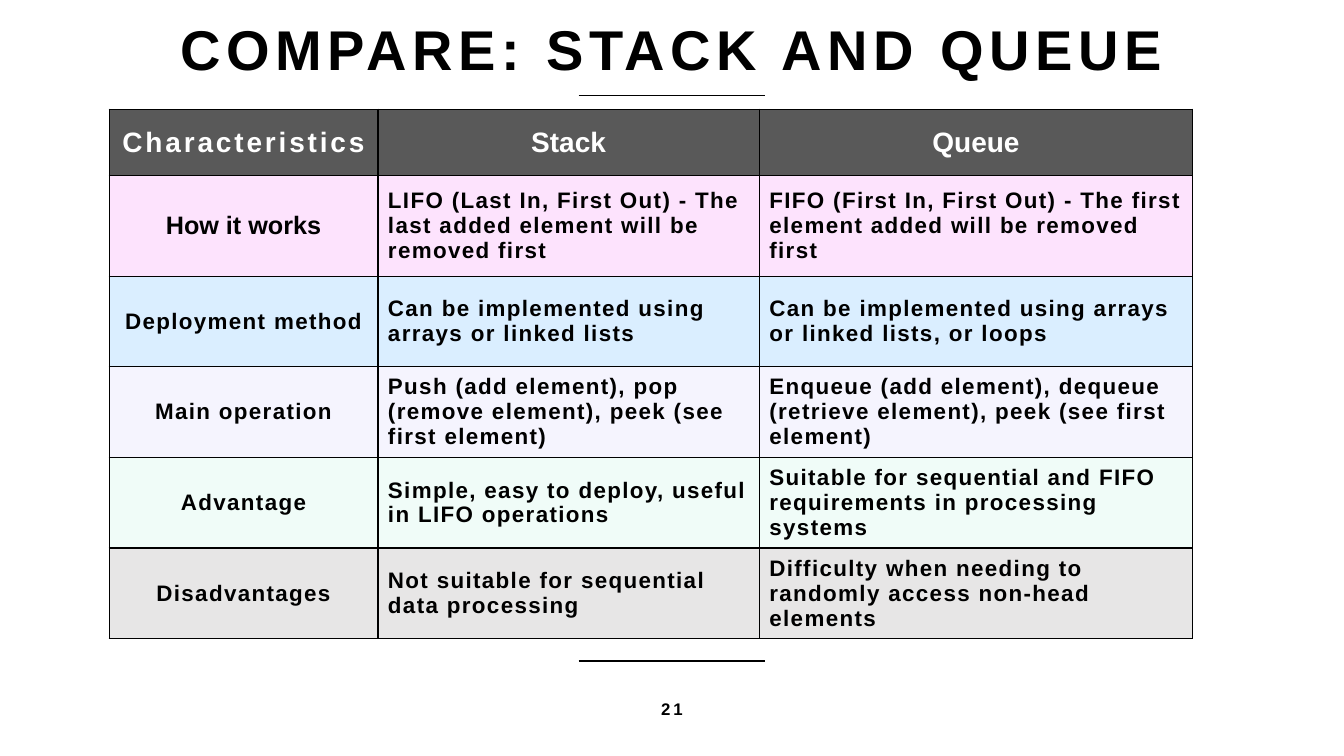
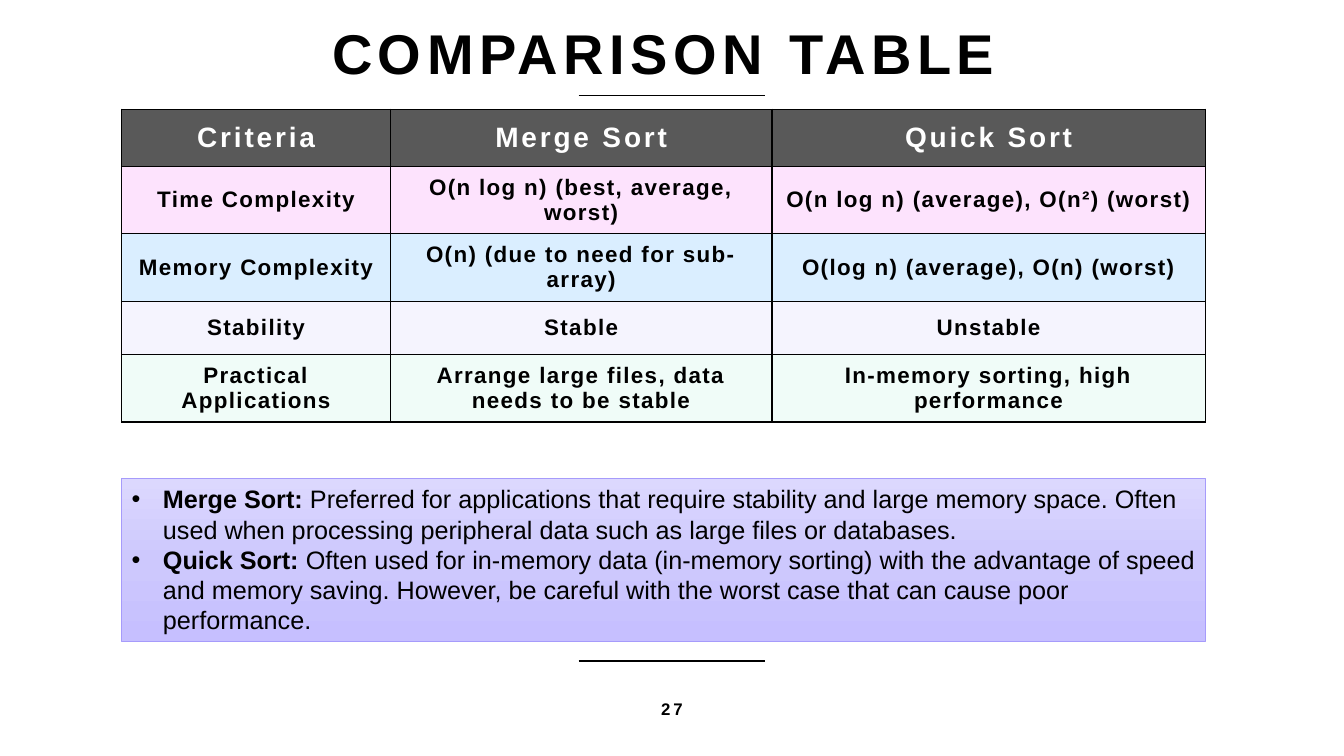
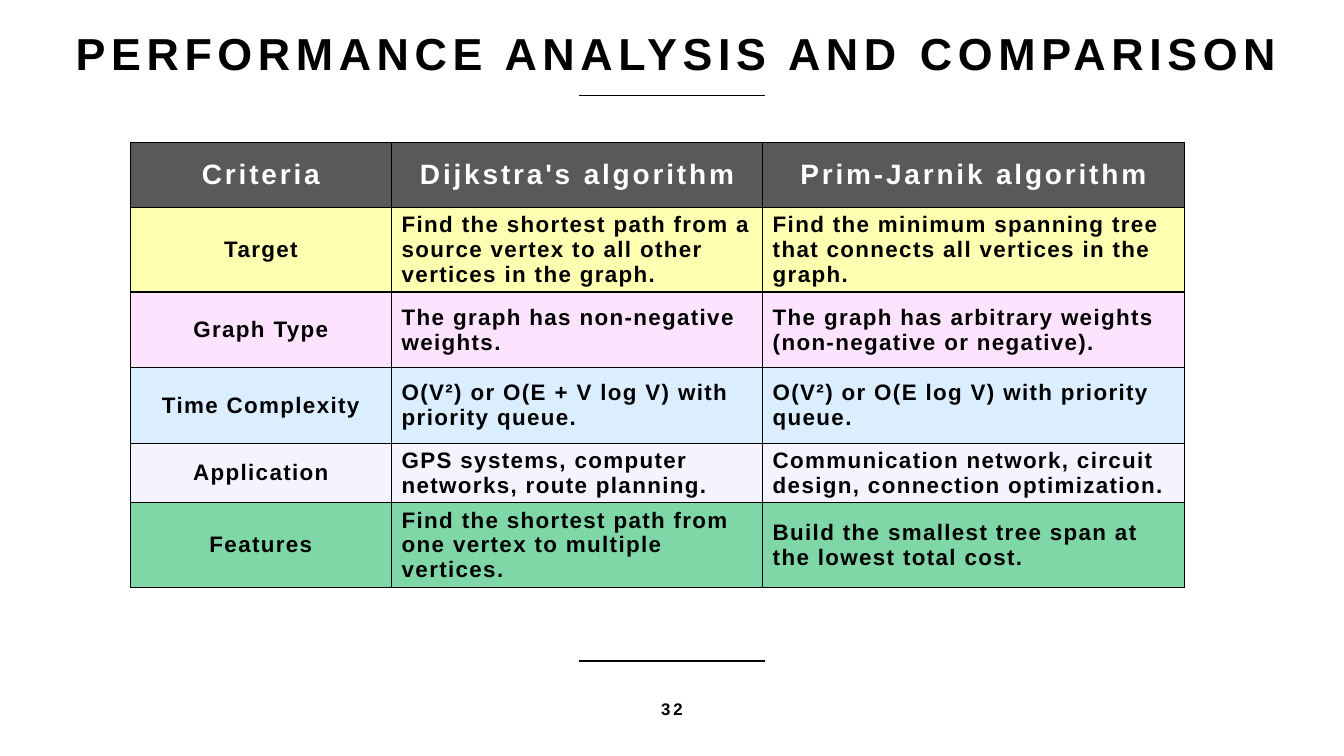
from copy import deepcopy

from lxml import etree
from pptx import Presentation, util as u
from pptx.dml.color import RGBColor
from pptx.enum import shapes, text
from pptx.oxml.ns import qn

COLS, ROWS = 160, 90
BLACK, WHITE, HEADER = "000000", "FFFFFF", "595959"
PINK, BLUE = ("FBA3FB", 30), ("B6DFFF", 50)
LAVENDER, MINT = ("EDEBFE", 50), ("E3FBF3", 50)
GREY, YELLOW, GREEN = ("D0CECE", 50), ("FFFF00", 30), ("00B050", 50)
LABEL = dict(size=16, spc=1)
HEAD = dict(size=20, spc=2, color=WHITE)
COLUMN_SHARES = (0.248, 0.352, 0.4)
CENTER, LEFT = text.PP_ALIGN.CENTER, text.PP_ALIGN.LEFT
MIDDLE, TOP = text.MSO_ANCHOR.MIDDLE, text.MSO_ANCHOR.TOP


def rgb(value):
    return RGBColor.from_string(value)


def grid(*cells):
    return [u.Inches(n / 12) for n in cells]


def sub(parent, tag, **attrs):
    return etree.SubElement(parent, qn(tag), attrs)


def write(p, content, size=18, color=BLACK, bold=True, spc=0, align=None, spacing=None):
    if align is not None:
        p.alignment = align
    if spacing:
        p.line_spacing = spacing
    r = p.add_run()
    r.text = content
    r.font.name = "Arial"
    r.font.size = u.Pt(size)
    r.font.bold = bold
    r.font.color.rgb = rgb(color)
    r.font._element.set("spc", str(spc * 100))


class Deck:
    def __init__(self):
        self.prs = Presentation()
        self.prs.slide_width, self.prs.slide_height = grid(COLS, ROWS)
        self.s = None

    def slide(self, title, box, number, size=40):
        self.s = self.prs.slides.add_slide(self.prs.slide_layouts[6])
        for y in (11.4, 78.7):
            self.rule(68.9, y, 91.1)
        self.text(title, box, inset=(0.2, 0), size=size, spc=4, spacing=0.9)
        self.text(str(number), (53, 78.8, 54, 11.2), size=12, spc=2)

    def rule(self, x1, y, x2):
        line = self.s.shapes.add_connector(shapes.MSO_CONNECTOR.STRAIGHT, *grid(x1, y, x2, y))
        line.line.color.rgb = rgb(BLACK)
        line.line.width = u.Pt(1)
        sub(line._element.spPr, "a:effectLst")

    def text(self, content, box, inset=(0.05, 0.05), **fmt):
        tf = self.s.shapes.add_textbox(*grid(*box)).text_frame
        tf.word_wrap = True
        tf.vertical_anchor = MIDDLE
        tf.margin_top, tf.margin_bottom = map(u.Inches, inset)
        write(tf.paragraphs[0], content, align=CENTER, **fmt)

    def table(self, x, y, width, heights, header, rows, align=LEFT,
              head_formats=(HEAD,) * 3, margin=0.05):
        height = sum(heights)
        frame = self.s.shapes.add_table(len(heights), len(header), *grid(x, y, width, height))
        tbl = frame.table
        for column, share in zip(tbl.columns, COLUMN_SHARES):
            column.width = grid(width * share)[0]
        for row, h in zip(tbl.rows, heights):
            row.height = grid(h)[0]
        for cell, content, fmt in zip(tbl.rows[0].cells, header, head_formats):
            self.cell(cell, content, (HEADER, 100), margin, align=CENTER, **fmt)
        for row, (fill, *contents) in zip(list(tbl.rows)[1:], rows):
            for i, (cell, content) in enumerate(zip(row.cells, contents)):
                self.cell(cell, content, fill, margin, align=align if i else CENTER, **LABEL)
        return tbl

    def cell(self, cell, content, fill, margin, **fmt):
        color, opacity = fill
        cell.fill.solid()
        cell.fill.fore_color.rgb = rgb(color)
        cell.vertical_anchor = MIDDLE
        cell.margin_top = cell.margin_bottom = u.Inches(margin)
        tcPr = cell._tc.get_or_add_tcPr()
        if opacity < 100:
            sub(tcPr.find(".//" + qn("a:srgbClr")), "a:alpha", val=str(opacity * 1000))
        for i, side in enumerate("LRTB"):
            line = sub(tcPr, f"a:ln{side}", w=str(u.Pt(1)))
            sub(sub(line, "a:solidFill"), "a:srgbClr", val=BLACK)
            tcPr.insert(i, line)
        write(cell.text_frame.paragraphs[0], content, **fmt)

    def note(self, box, items, colors, outline):
        sp = self.s.shapes.add_shape(shapes.MSO_SHAPE.RECTANGLE, *grid(*box))
        sp.shadow.inherit = False
        sp.fill.gradient()
        sp.fill.gradient_angle = 270
        stops = sp._element.spPr.find(".//" + qn("a:gsLst"))
        stops.insert(1, deepcopy(stops[0]))
        for i, (stop, color) in enumerate(zip(sp.fill.gradient_stops, colors)):
            stop.position = i / 2
            stop.color.rgb = rgb(color)
        sp.line.color.rgb = rgb(outline)
        sp.line.width = u.Pt(0.5)
        tf = sp.text_frame
        tf.word_wrap = True
        tf.vertical_anchor = TOP
        for i, (term, content) in enumerate(items):
            p = tf.add_paragraph() if i else tf.paragraphs[0]
            write(p, term, align=LEFT)
            write(p, content, bold=False)
            pPr = p._p.get_or_add_pPr()
            indent = u.Inches(0.31)
            pPr.set("marL", str(indent))
            pPr.set("indent", str(-indent))
            sub(pPr, "a:buFont", typeface="Arial")
            sub(pPr, "a:buChar", char="•")


def main():
    deck = Deck()

    deck.slide("COMPARE: STACK AND QUEUE", (8, 0, 144, 10), 21)
    plain_head = {**HEAD, "spc": 0}
    tbl = deck.table(
        13, 13, 129, (7.9, 12) + (10.75,) * 4,
        ("Characteristics", "Stack", "Queue"),
        [
            (PINK, "How it works",
             "LIFO (Last In, First Out) - The last added element will be removed first",
             "FIFO (First In, First Out) - The first element added will be removed first"),
            (BLUE, "Deployment method",
             "Can be implemented using arrays or linked lists",
             "Can be implemented using arrays or linked lists, or loops"),
            (LAVENDER, "Main operation",
             "Push (add element), pop (remove element), peek (see first element)",
             "Enqueue (add element), dequeue (retrieve element), peek (see first element)"),
            (MINT, "Advantage",
             "Simple, easy to deploy, useful in LIFO operations",
             "Suitable for sequential and FIFO requirements in processing systems"),
            (GREY, "Disadvantages",
             "Not suitable for sequential data processing",
             "Difficulty when needing to randomly access non-head elements"),
        ],
        head_formats=(HEAD, plain_head, plain_head),
    )
    how_it_works = tbl.cell(1, 0).text_frame.paragraphs[0].runs[0].font
    how_it_works.size = u.Pt(18)
    how_it_works._element.set("spc", "0")

    deck.slide("COMPARISON TABLE", (7, 1, 144, 9), 27)
    deck.table(
        14.5, 13, 129, (6.8, 8.05, 8.05, 6.3, 8.05),
        ("Criteria", "Merge Sort", "Quick Sort"),
        [
            (PINK, "Time Complexity",
             "O(n log n) (best, average, worst)", "O(n log n) (average), O(n²) (worst)"),
            (BLUE, "Memory Complexity",
             "O(n) (due to need for sub-array)", "O(log n) (average), O(n) (worst)"),
            (LAVENDER, "Stability", "Stable", "Unstable"),
            (MINT, "Practical Applications",
             "Arrange large files, data needs to be stable", "In-memory sorting, high performance"),
        ],
        align=CENTER,
    )
    deck.note(
        (14.5, 57, 129, 19.4),
        [
            ("Merge Sort: ",
             "Preferred for applications that require stability and large memory space. "
             "Often used when processing peripheral data such as large files or databases."),
            ("Quick Sort: ",
             "Often used for in-memory data (in-memory sorting) with the advantage of speed and "
             "memory saving. However, be careful with the worst case that can cause poor performance."),
        ],
        colors=("DCD8FE", "CDC8FD", "C6BFFF"),
        outline="A69BFB",
    )

    deck.slide("PERFORMANCE ANALYSIS AND COMPARISON", (7, 1, 147, 9), 32, size=32)
    deck.table(
        15.5, 17, 125.5, (7.7, 9, 9, 9, 7.1, 9),
        ("Criteria", "Dijkstra's algorithm", "Prim-Jarnik algorithm"),
        [
            (YELLOW, "Target",
             "Find the shortest path from a source vertex to all other vertices in the graph.",
             "Find the minimum spanning tree that connects all vertices in the graph."),
            (PINK, "Graph Type",
             "The graph has non-negative weights.",
             "The graph has arbitrary weights (non-negative or negative)."),
            (BLUE, "Time Complexity",
             "O(V²) or O(E + V log V) with priority queue.",
             "O(V²) or O(E log V) with priority queue."),
            (LAVENDER, "Application",
             "GPS systems, computer networks, route planning.",
             "Communication network, circuit design, connection optimization."),
            (GREEN, "Features",
             "Find the shortest path from one vertex to multiple vertices.",
             "Build the smallest tree span at the lowest total cost."),
        ],
        margin=0.02,
    )

    deck.prs.save("out.pptx")


if __name__ == "__main__":
    main()
